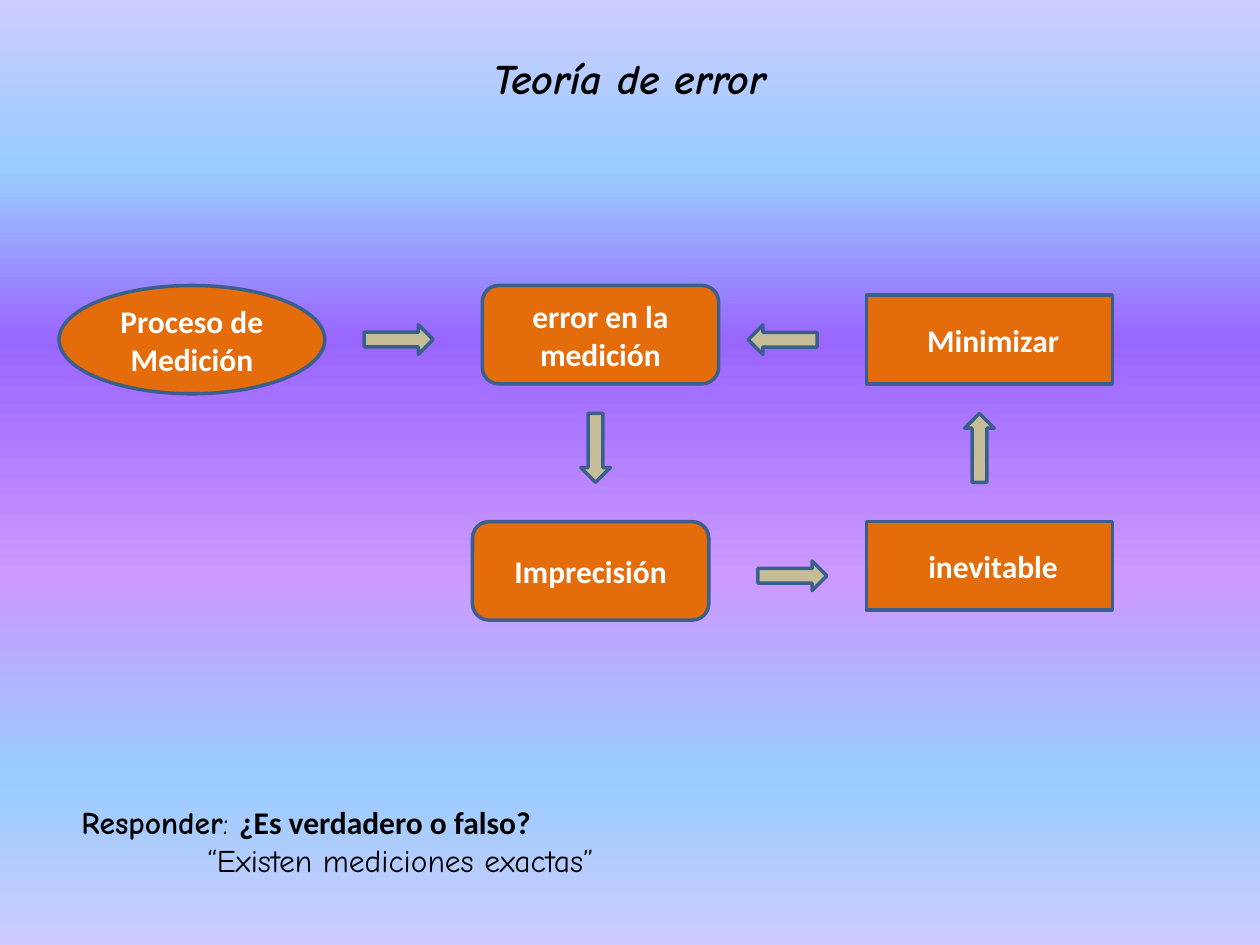
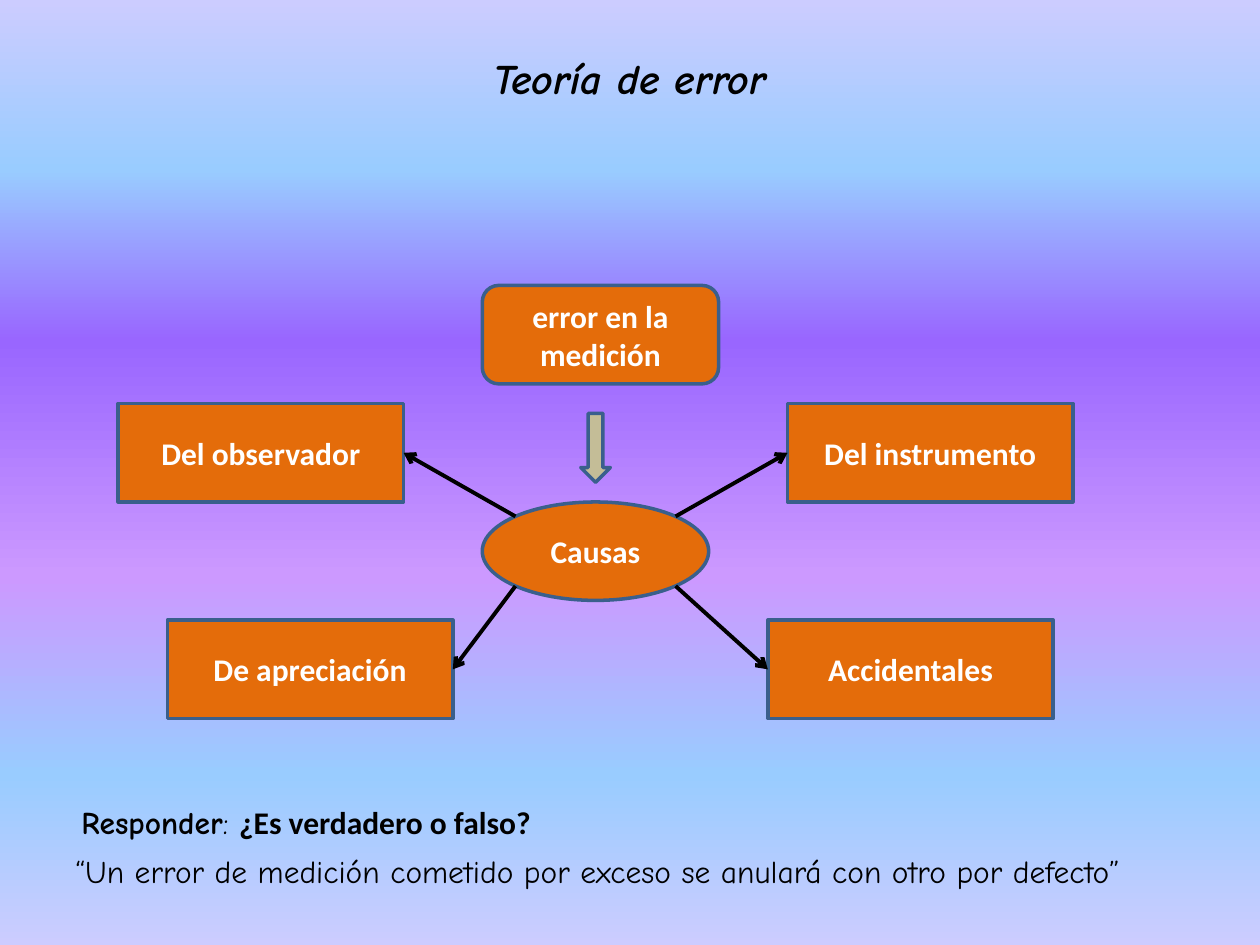
from math import sqrt

from lxml import etree
from pptx import Presentation
from pptx import util as u
from pptx.dml.color import RGBColor
from pptx.enum import shapes, text
from pptx.oxml import ns

COLORS = {"box": "E46C0A", "arrow": "C4BD97", "outline": "3A5F8C",
          "light": "FFFFFF", "dark": "000000"}
BACKGROUND = [(0, "CCCCFF"), (18, "99CCFF"), (36, "9966FF"),
              (61, "CC99FF"), (82, "99CCFF"), (100, "CCCCFF")]
COLUMNS, ROWS = 128, 96

# Run formats
BOX = {"name": "Calibri", "size": u.Pt(18), "bold": True}
LABEL = {"name": "Comic Neue", "size": u.Pt(18), "bold": True}
BODY = {**LABEL, "bold": False}
TITLE = {**LABEL, "size": u.Pt(24), "italic": True}

KINDS = shapes.MSO_SHAPE
CENTER = text.PP_ALIGN.CENTER
LEFT = text.PP_ALIGN.LEFT
ERROR_BOX = (49, 29, 24, 10)
DOWN_ARROW = (57, 44, 90)
QUESTION = [("Responder", LABEL), (": ", BODY), ("¿Es verdadero o falso?", BOX)]


def rgb(name):
    return RGBColor.from_string(COLORS[name])


class Deck:
    """Shared style and the slide being drawn."""

    def __init__(self):
        self.presentation = Presentation()
        self.presentation.slide_width = u.Inches(10)
        self.presentation.slide_height = u.Inches(7.5)
        self.slide = None

    def x(self, column):
        return round(self.presentation.slide_width * column / COLUMNS)

    def y(self, row):
        return round(self.presentation.slide_height * row / ROWS)

    def place(self, column, row, width, height):
        return self.x(column), self.y(row), self.x(width), self.y(height)

    def new_slide(self, title):
        self.slide = self.presentation.slides.add_slide(self.presentation.slide_layouts[6])
        self.paint_background()
        frame = self.text_box((6.4, 3.84, 115.2, 8.2), [[(title, TITLE)]], CENTER)
        frame.vertical_anchor = text.MSO_ANCHOR.MIDDLE

    def paint_background(self):
        fill = self.slide.background.fill
        fill.gradient()
        fill.gradient_angle = 270
        stops = next(self.slide.element.iter(ns.qn("a:gsLst")))
        for stop in list(stops):
            stops.remove(stop)
        for percent, color in BACKGROUND:
            stop = etree.SubElement(stops, ns.qn("a:gs"), pos=str(percent * 1000))
            etree.SubElement(stop, ns.qn("a:srgbClr"), val=color)

    def fill_text(self, frame, paragraphs, color, align, indents=()):
        frame.word_wrap = True
        for index, runs in enumerate(paragraphs):
            paragraph = frame.paragraphs[0] if index == 0 else frame.add_paragraph()
            paragraph.alignment = align
            if index < len(indents):
                paragraph._p.get_or_add_pPr().set("marL", str(u.Inches(indents[index])))
            for words, style in runs:
                run = paragraph.add_run()
                run.text = words
                run.font.color.rgb = rgb(color)
                for attribute, value in style.items():
                    setattr(run.font, attribute, value)

    def text_box(self, area, paragraphs, align=LEFT, indents=()):
        frame = self.slide.shapes.add_textbox(*self.place(*area)).text_frame
        self.fill_text(frame, paragraphs, "dark", align, indents)
        return frame

    def shape(self, kind, area, fill):
        shape = self.slide.shapes.add_shape(kind, *self.place(*area))
        shape.shadow.inherit = False
        shape.fill.solid()
        shape.fill.fore_color.rgb = rgb(fill)
        shape.line.color.rgb = rgb("outline")
        shape.line.width = u.Pt(2)
        return shape

    def box(self, kind, area, *lines, indent=0):
        shape = self.shape(kind, area, "box")
        shape.text_frame.vertical_anchor = text.MSO_ANCHOR.MIDDLE
        self.fill_text(shape.text_frame, [[(line, BOX)] for line in lines],
                       "light", CENTER, [indent])
        return shape

    def block_arrow(self, column, row, rotation=0):
        self.shape(KINDS.RIGHT_ARROW, (column, row, 7, 3), "arrow").rotation = rotation

    def arrow_to(self, start, box, side):
        """Draw an arrow from a point to the middle of a side of a box."""
        connector = self.slide.shapes.add_connector(
            shapes.MSO_CONNECTOR.STRAIGHT, *start, *start)
        connector.end_connect(box, side)
        connector.line.color.rgb = rgb("dark")
        connector.line.width = u.Pt(2.25)
        outline = connector.line._get_or_add_ln()
        etree.SubElement(outline, ns.qn("a:tailEnd"), type="arrow")
        etree.SubElement(connector._element.spPr, ns.qn("a:effectLst"))


def process_slide(deck):
    deck.new_slide("Teoría de error")
    # Steps of the process
    deck.box(KINDS.OVAL, (6, 29, 27, 11), "Proceso de", "Medición")
    deck.box(KINDS.ROUNDED_RECTANGLE, (48, 53, 24, 10), "Imprecisión")
    deck.box(KINDS.ROUNDED_RECTANGLE, ERROR_BOX, "error en la medición")
    for row, label in ((53, "inevitable"), (30, "Minimizar")):
        deck.box(KINDS.RECTANGLE, (88, row, 25, 9), label, indent=0.06)
    # Flow between steps: column, row, rotation
    for arrow in ((37, 33), (76, 33, 180), DOWN_ARROW, (96, 44, 270), (77, 57)):
        deck.block_arrow(*arrow)
    # Question
    deck.text_box((7, 81, 72, 9),
                  [QUESTION, [("“Existen mediciones exactas”", BODY)]], indents=(0, 1))


def causes_slide(deck):
    deck.new_slide("Teoría de error")
    deck.box(KINDS.ROUNDED_RECTANGLE, ERROR_BOX, "error en la medición")
    deck.block_arrow(*DOWN_ARROW)
    hub = deck.box(KINDS.OVAL, (49, 51, 23, 10), "Causas")
    # Causes around the hub: column, row, horizontal and vertical direction
    causes = [("Del observador", 12, 41, -1, -1), ("De apreciación", 17, 63, -1, 1),
              ("Del instrumento", 80, 41, 1, -1), ("Accidentales", 78, 63, 1, 1)]
    for label, column, row, across, down in causes:
        cause = deck.box(KINDS.RECTANGLE, (column, row, 29, 10), label)
        start = (round(hub.left + hub.width / 2 * (1 + across / sqrt(2))),
                 round(hub.top + hub.height / 2 * (1 + down / sqrt(2))))
        deck.arrow_to(start, cause, 3 if across < 0 else 1)
    # Question
    deck.text_box((6.4, 85.9, 118, 5), [[(
        "“Un error de medición cometido por exceso se anulará con otro por defecto”",
        BODY)]])
    deck.text_box((7, 81, 72, 5), [QUESTION])


def main():
    deck = Deck()
    process_slide(deck)
    causes_slide(deck)
    deck.presentation.save("out.pptx")


if __name__ == "__main__":
    main()
